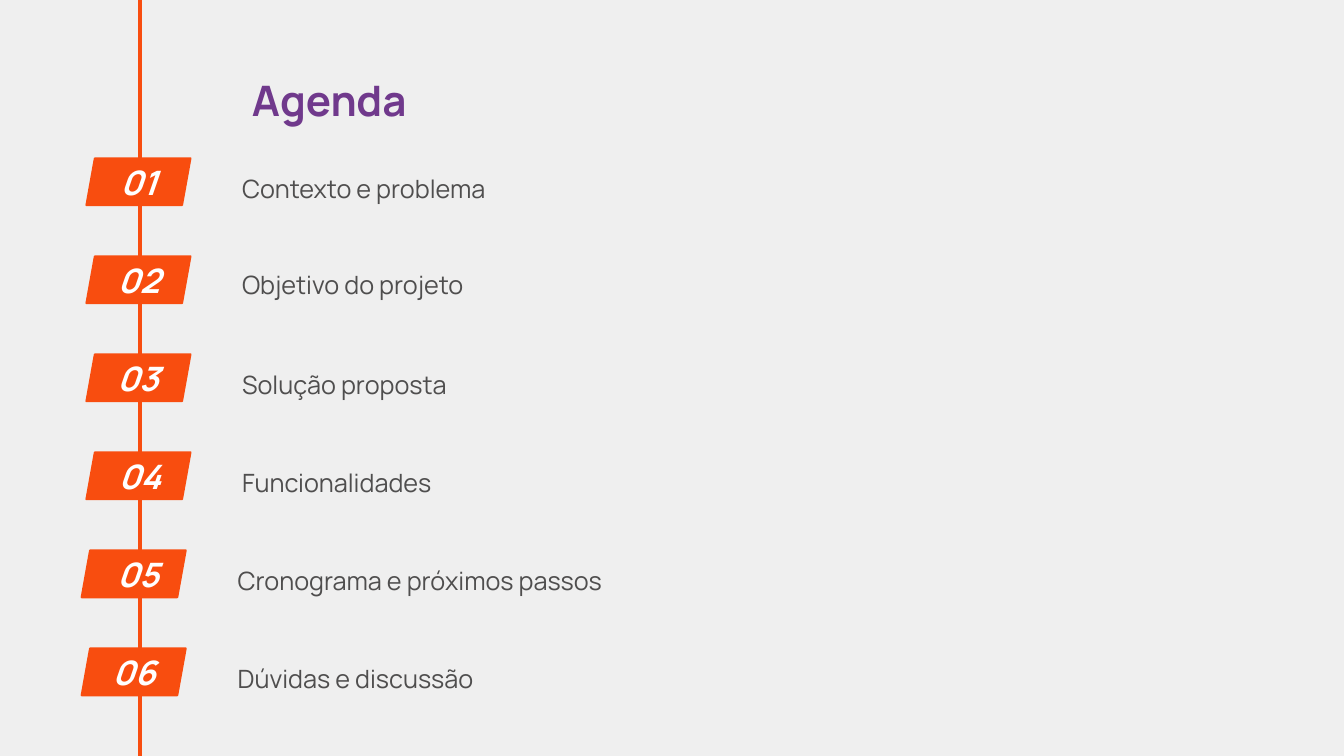
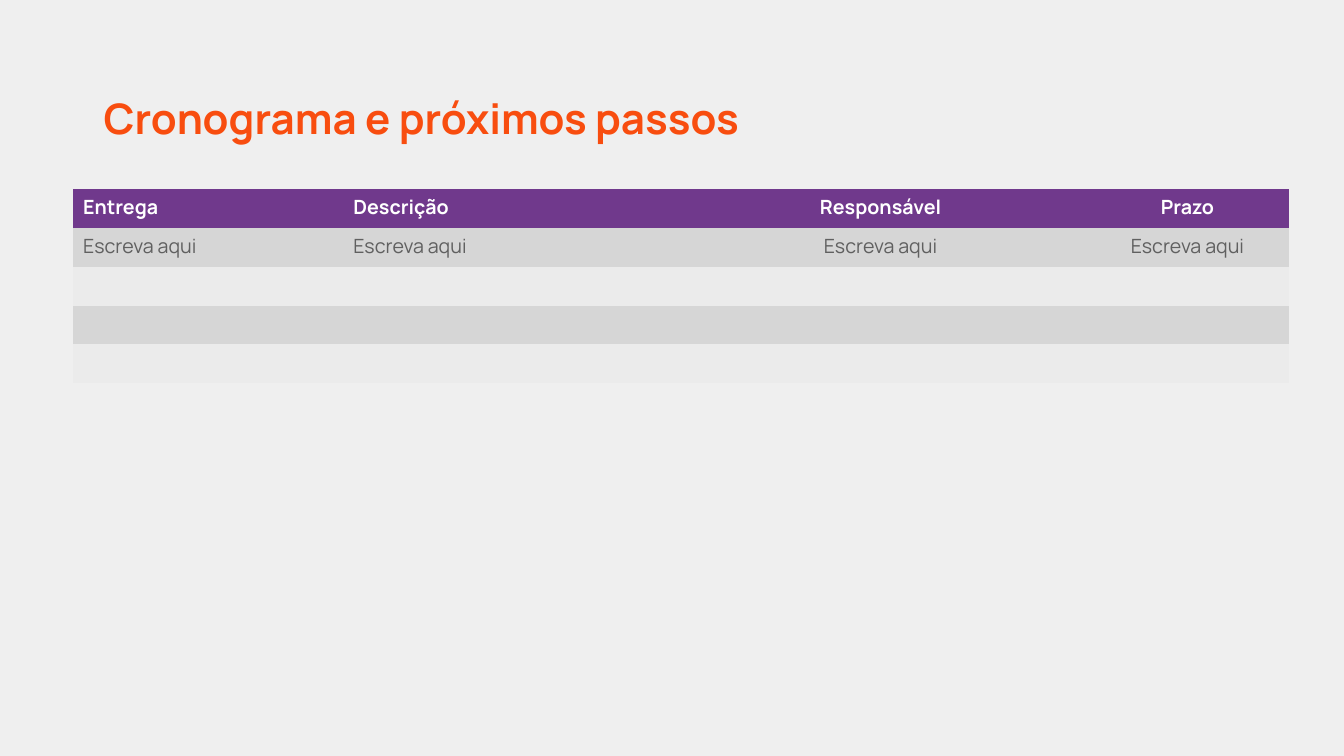
"""Build an agenda slide and a schedule slide."""
from lxml import etree
from pptx import Presentation
from pptx.dml.color import RGBColor
from pptx.enum import shapes, text
from pptx.oxml import ns
from pptx.util import Cm, Pt

COLORS = {
    "background": "EFEFEF", "orange": "F84D0F", "purple": "70398C",
    "body": "4F4E4E", "cell": "606060", "white": "FFFFFF",
    "dark_band": "D6D6D6", "light_band": "EBEBEB",
}
FONT = "Manrope"
NO_GRID_STYLE = "{2D5ABB26-0587-4C30-8999-92F81FD0307C}"
LEFT, CENTER = text.PP_ALIGN.LEFT, text.PP_ALIGN.CENTER

# label, badge left, number left, label left, line spacing
AGENDA = [
    ("Contexto e problema", 2.18, 2.18, 6.1, 1.15),
    ("Objetivo do projeto", 2.18, 2.18, 6.1, 1.0),
    ("Solução proposta", 2.18, 2.16, 6.1, 1.15),
    ("Funcionalidades", 2.18, 2.21, 6.1, 1.15),
    ("Cronograma e próximos passos", 2.06, 2.16, 5.99, 1.15),
    ("Dúvidas e discussão", 2.06, 2.06, 5.99, 1.15),
]
AGENDA_TOP, AGENDA_STEP = 3.99, 2.47
BADGE_WIDTH, BADGE_HEIGHT = 2.62, 1.18

COLUMNS = [
    ("Entrega", 6.81, LEFT), ("Descrição", 8.36, LEFT),
    ("Responsável", 10.36, CENTER), ("Prazo", 5.11, CENTER),
]
ROWS = [["Escreva aqui"] * 4] + [[""] * 4] * 3
ROW_HEIGHT = 0.98


def rgb(name):
    return RGBColor.from_string(COLORS[name])


def style(paragraph, size, color, bold=False, italic=False):
    font = paragraph.font
    font.name, font.size, font.bold, font.italic = FONT, Pt(size), bold, italic
    font.color.rgb = rgb(color)


def add_slide(presentation):
    slide = presentation.slides.add_slide(presentation.slide_layouts[6])
    slide.background.fill.solid()
    slide.background.fill.fore_color.rgb = rgb("background")
    return slide


def add_text(slide, content, box, size, color, bold=False, italic=False,
             align=LEFT, anchor=text.MSO_ANCHOR.TOP, spacing=1.0, insets=(0, 0)):
    frame = slide.shapes.add_textbox(*map(Cm, box)).text_frame
    frame.word_wrap = True
    frame.vertical_anchor = anchor
    frame.margin_left = frame.margin_right = Cm(insets[0])
    frame.margin_top = frame.margin_bottom = Cm(insets[1])
    paragraph = frame.paragraphs[0]
    paragraph.text = content
    paragraph.alignment = align
    paragraph.line_spacing = spacing
    style(paragraph, size, color, bold, italic)
    return frame


def add_title(slide, content, box, color, insets):
    frame = add_text(slide, content, box, 30, color, bold=True, insets=insets)
    frame.auto_size = text.MSO_AUTO_SIZE.SHAPE_TO_FIT_TEXT


def add_timeline(slide):
    line = slide.shapes.add_connector(
        shapes.MSO_CONNECTOR.STRAIGHT, Cm(3.53), Cm(-0.15), Cm(3.53), Cm(19.05))
    line.line.color.rgb = rgb("orange")
    line.line.width = Pt(3)
    etree.SubElement(line._element.spPr, ns.qn("a:effectLst"))


def add_badge(slide, left, top):
    badge = slide.shapes.add_shape(
        shapes.MSO_SHAPE.PARALLELOGRAM,
        Cm(left), Cm(top), Cm(BADGE_WIDTH), Cm(BADGE_HEIGHT))
    badge.adjustments[0] = 0.18
    badge.shadow.inherit = False
    badge.fill.solid()
    badge.fill.fore_color.rgb = rgb("orange")
    badge.line.color.rgb = rgb("orange")
    badge.line.width = Pt(1.5)


def build_agenda(presentation):
    slide = add_slide(presentation)
    add_timeline(slide)
    add_title(slide, "Agenda", (6.1, 1.63, 17.68, 1.8), "purple", (0.25, 0.25))
    for index, (label, badge_left, number_left, label_left, spacing) in enumerate(AGENDA):
        top = AGENDA_TOP + index * AGENDA_STEP
        add_badge(slide, badge_left, top)
        add_text(slide, f"{index + 1:02}", (number_left, top + 0.08, BADGE_WIDTH, 1.02),
                 24, "white", bold=True, italic=True, align=CENTER)
        add_text(slide, label, (label_left, top, 14.5, 1.42), 18, "body",
                 anchor=text.MSO_ANCHOR.MIDDLE, spacing=spacing)


def fill_cell(cell, content, align, fill, color, bold):
    cell.fill.solid()
    cell.fill.fore_color.rgb = rgb(fill)
    paragraph = cell.text_frame.paragraphs[0]
    paragraph.alignment = align
    if content:
        paragraph.text = content
    else:
        end = etree.SubElement(paragraph._p, ns.qn("a:endParaRPr"))
        end.set("sz", "1400")
    style(paragraph, 14, color, bold)


def build_schedule(presentation):
    slide = add_slide(presentation)
    add_title(slide, "Cronograma e próximos passos", (2.36, 2.21, 25.68, 1.55),
              "orange", (0.25, 0.13))
    rows = [[name for name, _, _ in COLUMNS]] + ROWS
    width = sum(column[1] for column in COLUMNS)
    table = slide.shapes.add_table(
        len(rows), len(COLUMNS), Cm(1.84), Cm(4.76),
        Cm(width), Cm(ROW_HEIGHT * len(rows))).table
    table.horz_banding = False
    table._tbl.tblPr.find(ns.qn("a:tableStyleId")).text = NO_GRID_STYLE
    for column, (_, column_width, _) in zip(table.columns, COLUMNS):
        column.width = Cm(column_width)
    for row_index, row in enumerate(rows):
        table.rows[row_index].height = Cm(ROW_HEIGHT)
        header = row_index == 0
        band = "dark_band" if row_index % 2 else "light_band"
        for column_index, content in enumerate(row):
            fill_cell(table.cell(row_index, column_index), content,
                      COLUMNS[column_index][2], "purple" if header else band,
                      "white" if header else "cell", header)


def main():
    presentation = Presentation()
    presentation.slide_width, presentation.slide_height = Cm(33.87), Cm(19.05)
    build_agenda(presentation)
    build_schedule(presentation)
    presentation.save("out.pptx")


if __name__ == "__main__":
    main()
